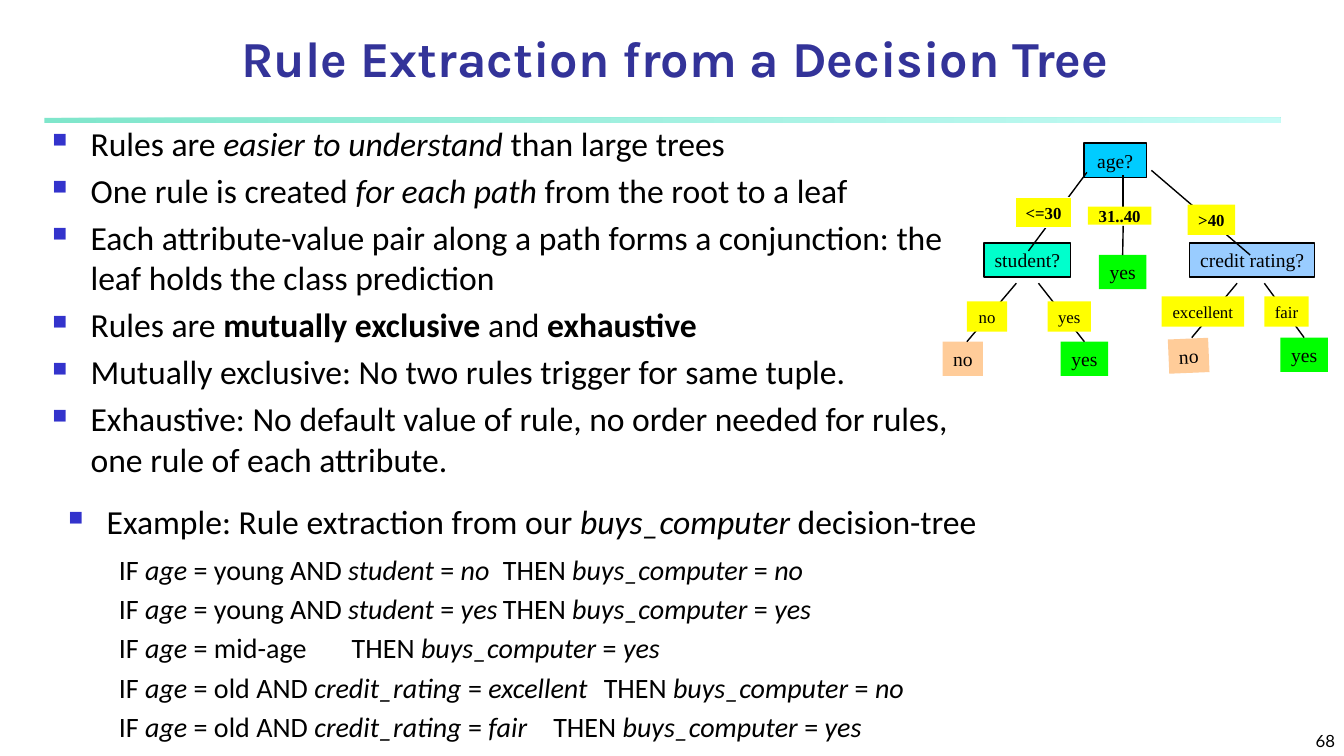
from dataclasses import dataclass

from lxml import etree
from pptx import Presentation
from pptx.dml.color import RGBColor as RGB
from pptx.enum.shapes import MSO_CONNECTOR as CONN, MSO_SHAPE as SHAPE
from pptx.enum.text import MSO_ANCHOR as ANCHOR, PP_ALIGN as ALIGN
from pptx.oxml.ns import qn
from pptx.util import Inches, Pt


@dataclass(frozen=True)
class Theme:
    title: str = "333399"
    bullet: str = "3333CC"
    ink: str = "000000"
    root: str = "00CCFF"
    student: str = "00FFCC"
    credit: str = "99CCFF"
    label: str = "FFFF00"
    yes: str = "00FF00"
    no: str = "FFCC99"
    rule_from: str = "00CE98"
    rule_to: str = "8FF9EF"
    paper: str = "FFFFFF"
    head_font: str = "Karla"
    body_font: str = "Calibri"
    tree_font: str = "Times New Roman"
    number_font: str = "Lato"
    head_size: int = 36
    body_size: int = 24
    rule_size: int = 20
    node_size: int = 14
    label_size: int = 12


T = Theme()

# In the texts below, asterisks switch emphasis on and off
POINTS = [
    ("Rules are *easier to understand* than large trees", "italic"),
    ("One rule is created *for each path* from the root to a leaf", "italic"),
    ("Each attribute-value pair along a path forms a conjunction: "
     "the leaf holds the class prediction", "italic"),
    ("Rules are *mutually exclusive* and *exhaustive*", "bold"),
    ("Mutually exclusive: No two rules trigger for same tuple.", "italic"),
    ("Exhaustive: No default value of rule, no order needed for rules, "
     "one rule of each attribute.", "italic"),
]
EXAMPLE = "Example: Rule extraction from our *buys_computer* decision-tree"
# Condition, class, tab stop of THEN from the left of the text
RULES = [
    ("*age* = young AND *student* = *no*", "no", 5.25),
    ("*age* = young AND *student* = *yes*", "yes", 5.27),
    ("*age* = mid-age", "yes", 5.82),
    ("*age* = old AND *credit_rating* = *excellent*", "no", 5.82),
    ("*age* = old AND *credit_rating* = *fair*", "yes", 5.88),
]


def add_text(p, text, *, size, font, color=T.ink, bold=False, emphasis="italic"):
    for i, part in enumerate(text.split("*")):
        if part:
            r = p.add_run()
            r.text = part
            r.font.size, r.font.name, r.font.bold = Pt(size), font, bold
            r.font.color.rgb = RGB.from_string(color)
            if i % 2:
                setattr(r.font, emphasis, True)


def add_textbox(s, box):
    tf = s.shapes.add_textbox(*map(Inches, box)).text_frame
    tf.word_wrap = True
    return tf


def next_paragraph(tf):
    return tf.add_paragraph() if tf.paragraphs[0].runs else tf.paragraphs[0]


def set_indent(p, left, first):
    pPr = p._p.get_or_add_pPr()
    pPr.set("marL", str(Inches(left)))
    pPr.set("indent", str(Inches(first)))
    return pPr


def add_bullet(tf, text, emphasis="italic"):
    p = next_paragraph(tf)
    p.space_before = Pt(T.body_size * 0.2)
    pPr = set_indent(p, 0.38, -0.38)
    color = etree.SubElement(pPr, qn("a:buClr"))
    etree.SubElement(color, qn("a:srgbClr"), val=T.bullet)
    etree.SubElement(pPr, qn("a:buSzPct"), val="60000")
    etree.SubElement(pPr, qn("a:buChar"), char="■")
    add_text(p, text, size=T.body_size, font=T.body_font, emphasis=emphasis)


def add_title(s, box):
    title = s.shapes.title
    title.left, title.top, title.width, title.height = map(Inches, box)
    tf = title.text_frame
    tf.vertical_anchor = ANCHOR.BOTTOM
    p = tf.paragraphs[0]
    p.alignment = ALIGN.CENTER
    add_text(p, "Rule Extraction from a Decision Tree", size=T.head_size,
             font=T.head_font, color=T.title, bold=True)


def add_title_rule(s, box):
    sp = s.shapes.add_shape(SHAPE.RECTANGLE, *map(Inches, box))
    sp.shadow.inherit = False
    sp.line.fill.background()
    sp.fill.gradient()
    sp.fill.gradient_angle = 0
    for stop, color in zip(sp.fill.gradient_stops, (T.rule_from, T.rule_to)):
        stop.color.rgb = RGB.from_string(color)
    for clr in sp._element.spPr.iter(qn("a:srgbClr")):
        etree.SubElement(clr, qn("a:alpha"), val="50000")


def add_points(s, box):
    tf = add_textbox(s, box)
    for text, emphasis in POINTS:
        add_bullet(tf, text, emphasis)


def add_example(s, box):
    tf = add_textbox(s, box)
    add_bullet(tf, EXAMPLE)
    for i, (condition, outcome, stop) in enumerate(RULES):
        p = next_paragraph(tf)
        p.space_before = Pt(T.rule_size * (0.2 if i else 0.4))
        pPr = set_indent(p, 0.81, -0.31)
        tabs = etree.SubElement(pPr, qn("a:tabLst"))
        etree.SubElement(tabs, qn("a:tab"), pos=str(Inches(stop)), algn="l")
        add_text(p, f"IF {condition}\tTHEN *buys_computer* = *{outcome}*",
                 size=T.rule_size, font=T.body_font)


def add_tree(s, box):
    x0, y0 = box[:2]
    tree = s.shapes.add_group_shape()

    def node(x, y, w, h, text, fill, *, line=None, size=T.node_size, bold=False,
             inset=0.05):
        sp = tree.shapes.add_shape(SHAPE.RECTANGLE, *map(Inches, (x0 + x, y0 + y, w, h)))
        sp.shadow.inherit = False
        sp.fill.solid()
        sp.fill.fore_color.rgb = RGB.from_string(fill)
        if line:
            sp.line.color.rgb, sp.line.width = RGB.from_string(line), Pt(1)
        else:
            sp.line.fill.background()
        tf = sp.text_frame
        tf.word_wrap = False
        tf.vertical_anchor = ANCHOR.MIDDLE
        tf.margin_top = tf.margin_bottom = Inches(inset)
        p = tf.paragraphs[0]
        p.alignment = ALIGN.CENTER
        add_text(p, text, size=size, font=T.tree_font, bold=bold)
        return sp

    def branch(x1, y1, x2, y2, leaf=None):
        c = tree.shapes.add_connector(
            CONN.STRAIGHT, *map(Inches, (x0 + x1, y0 + y1, x0 + x2, y0 + y2)))
        c.line.color.rgb, c.line.width = RGB.from_string(T.ink), Pt(1)
        etree.SubElement(c._element.spPr, qn("a:effectLst"))
        if leaf is not None:
            c.end_connect(leaf, 0)

    # Tests
    node(1.4, 0, 0.62, 0.34, "age?", T.root, line=T.ink)
    node(0.41, 0.99, 0.86, 0.34, "student?", T.student, line=T.ink)
    node(2.45, 0.99, 1.24, 0.34, "credit rating?", T.credit, line=T.ink)

    # Leaves
    node(0, 1.97, 0.4, 0.34, "no", T.no)
    student_yes, credit_yes, middle_yes = [
        node(x, y, 0.47, 0.34, "yes", T.yes)
        for x, y in ((1.17, 1.97), (3.35, 1.93), (1.55, 1.11))]
    node(2.24, 1.94, 0.4, 0.34, "no", T.no).rotation = 357.6

    # Branches
    branch(1.43, 0.29, 0.85, 1.07)
    branch(1.79, 0.32, 1.79, 0.64)
    branch(1.79, 0.82, 1.79, 1.11, middle_yes)
    branch(2.07, 0.27, 3.05, 1.11)
    branch(0.73, 1.39, 0.24, 1.97)
    branch(0.95, 1.39, 1.4, 1.97, student_yes)
    branch(2.92, 1.39, 2.47, 1.93)
    branch(3.19, 1.39, 3.59, 1.93, credit_yes)

    # Branch labels
    node(0.72, 0.54, 0.56, 0.3, "<=30", T.label, line=T.paper,
         size=T.label_size, bold=True)
    node(1.44, 0.63, 0.63, 0.18, "31..40", T.label, size=T.label_size,
         bold=True, inset=0)
    node(2.43, 0.61, 0.47, 0.3, ">40", T.label, size=T.label_size, bold=True)
    for x, y, w, text in ((0.24, 1.57, 0.4, "no"), (1.04, 1.57, 0.43, "yes"),
                          (2.17, 1.52, 0.82, "excellent"), (3.19, 1.52, 0.44, "fair")):
        node(x, y, w, 0.3, text, T.label, size=T.label_size)


def add_page_number(s, box):
    tf = add_textbox(s, box)
    tf.vertical_anchor = ANCHOR.BOTTOM
    p = tf.paragraphs[0]
    p.alignment = ALIGN.RIGHT
    add_text(p, "68", size=T.label_size, font=T.number_font)


def main():
    prs = Presentation()
    prs.slide_width, prs.slide_height = Inches(13.33), Inches(7.5)
    s = prs.slides.add_slide(prs.slide_layouts[5])
    add_title_rule(s, (0.44, 1.17, 12.26, 0.05))
    add_page_number(s, (10.56, 7.08, 2.78, 0.42))
    add_tree(s, (9.35, 1.42, 3.82, 2.31))
    add_example(s, (0.58, 4.92, 10.92, 2.58))
    add_title(s, (1.89, 0.25, 9.61, 0.67))
    add_points(s, (0.42, 1.17, 9.19, 3.5))
    prs.save("out.pptx")


if __name__ == "__main__":
    main()
